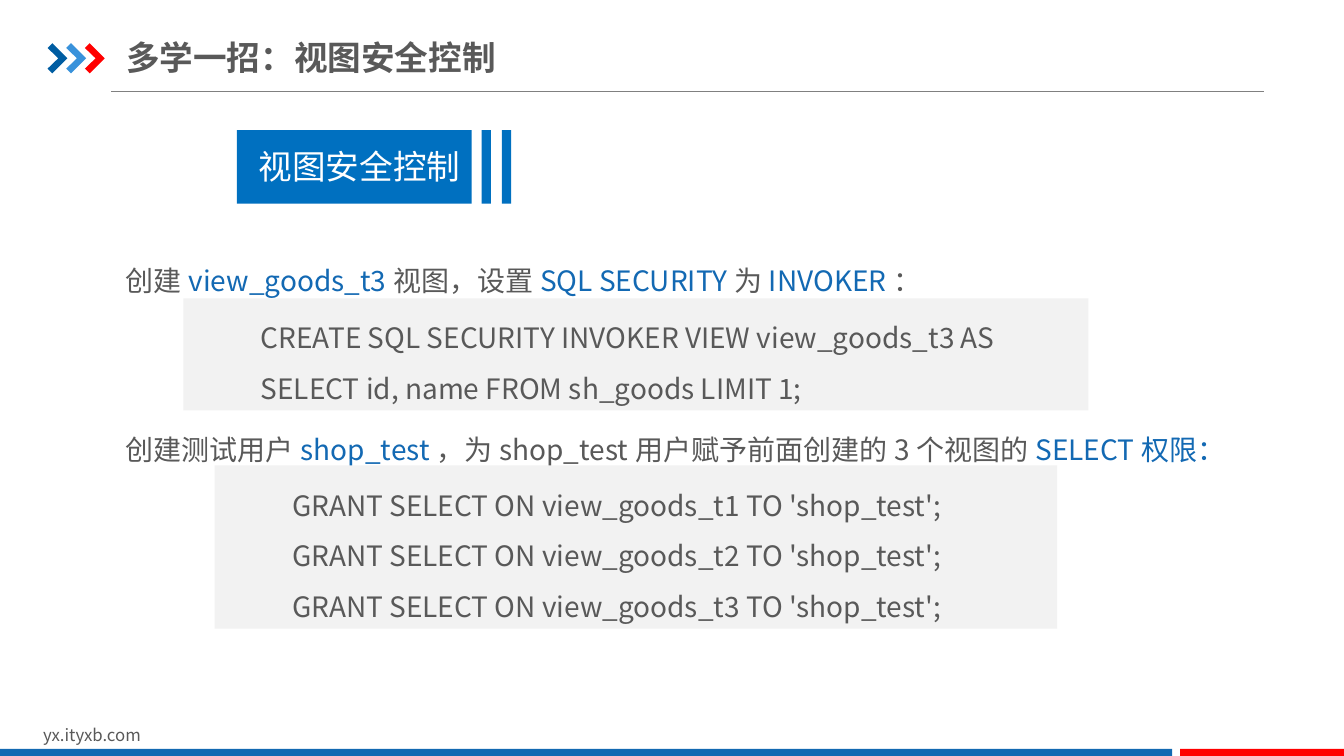
from dataclasses import dataclass

from lxml import etree
from pptx import Presentation
from pptx.dml.color import RGBColor
from pptx.enum import shapes, text
from pptx.oxml import ns
from pptx.util import Cm, Pt


@dataclass(frozen=True)
class Theme:
    face: str = "Noto Sans CJK SC"
    ink: str = "595959"
    key: str = "1369B3"
    foot: str = "1369B2"
    tab: str = "0070C0"
    code: str = "F2F2F2"
    rule: str = "808080"
    red: str = "FF0000"
    white: str = "FFFFFF"
    navy: str = "005DA2"
    sky: str = "3992DB"
    head: int = 24
    body: int = 20
    small: int = 12


T = Theme()

TITLE = "多学一招：视图安全控制"
TOPIC = "视图安全控制"
SITE = "yx.ityxb.com"
STEPS = [
    {
        "say": [("创建", T.ink), ("view_goods_t3", T.key), ("视图，设置", T.ink),
                ("SQL SECURITY", T.key), ("为", T.ink), ("INVOKER", T.key), ("：", T.ink)],
        "top": 6.1, "tall": 1.4,
        "code": ["CREATE SQL SECURITY INVOKER VIEW view_goods_t3 AS",
                 "SELECT id, name FROM sh_goods LIMIT 1;"],
        "box": (4.62, 7.52, 22.81, 2.82),
    },
    {
        "say": [("创建测试用户", T.ink), ("shop_test", T.key),
                ("，为shop_test用户赋予前面创建的3个视图的", T.ink), ("SELECT权限：", T.key)],
        "top": 10.34, "tall": 1.55,
        "code": [f"GRANT SELECT ON view_goods_t{n} TO 'shop_test';" for n in (1, 2, 3)],
        "box": (5.41, 11.73, 21.23, 4.11),
    },
]
CHEVRON = [(0, 0.12), (0.12, 0), (0.5, 0.38), (0.12, 0.76), (0, 0.64), (0.27, 0.38)]

deck = Presentation()
deck.slide_width, deck.slide_height = Cm(33.87), Cm(19.05)
slide = deck.slides.add_slide(deck.slide_layouts[6])
items = slide.shapes


def paint(shape, color):
    shape.shadow.inherit = False
    shape.fill.solid()
    shape.fill.fore_color.rgb = RGBColor.from_string(color)
    shape.line.fill.background()
    return shape


def block(box, color):
    return paint(items.add_shape(shapes.MSO_SHAPE.RECTANGLE, *map(Cm, box)), color)


def style(para, size, color, bold=False):
    font = para.font
    font.name, font.size, font.bold = T.face, Pt(size), bold
    font.color.rgb = RGBColor.from_string(color)
    latin = font._element.find(ns.qn("a:latin"))
    east = etree.Element(ns.qn("a:ea"), typeface=T.face)
    latin.addnext(east)


def label(box, words, size, color, bold=False):
    frame = items.add_textbox(*map(Cm, box)).text_frame
    frame.word_wrap = True
    para = frame.paragraphs[0]
    para.text = words
    style(para, size, color, bold)
    return frame


def say(step):
    frame = label((2.92, step["top"], 28.96, step["tall"]), "", T.body, T.ink)
    para = frame.paragraphs[0]
    para.line_spacing = 1.5
    for words, color in step["say"]:
        run = para.add_run()
        run.text = words
        run.font.color.rgb = RGBColor.from_string(color)


def listing(step):
    frame = block(step["box"], T.code).text_frame
    frame.word_wrap = True
    frame.vertical_anchor = text.MSO_ANCHOR.MIDDLE
    for i, line in enumerate(step["code"]):
        para = frame.add_paragraph() if i else frame.paragraphs[0]
        para.text = line
        para.level = 1
        para.alignment = text.PP_ALIGN.JUSTIFY
        para.line_spacing = 1.5
        props = para._p.get_or_add_pPr()
        props.set("marL", str(Cm(1.7)))
        props.set("indent", "0")
        style(para, T.body, T.ink)


rule = items.add_connector(shapes.MSO_CONNECTOR.STRAIGHT, Cm(2.8), Cm(2.31), Cm(31.86), Cm(2.31))
rule.line.color.rgb = RGBColor.from_string(T.rule)
rule.line.width = Pt(0.75)
etree.SubElement(rule._element.spPr, ns.qn("a:effectLst"))

for i, color in enumerate((T.navy, T.sky, T.red)):
    dots = [(Cm(1.2 + 0.47 * i + x), Cm(1.09 + y)) for x, y in CHEVRON]
    pen = items.build_freeform(*dots[0])
    pen.add_line_segments(dots[1:], close=True)
    paint(pen.convert_to_shape(), color)

label((0.84, 18.14, 8.08, 0.76), SITE, T.small, T.ink)
block((0, 18.87, 29.54, 0.22), T.foot)
block((29.74, 18.87, 4.13, 0.22), T.red)

title = label((3.18, 0.74, 15.44, 1.4), TITLE, T.head, T.ink, True)
title.margin_left = title.margin_right = 0
title.margin_top = title.margin_bottom = Cm(0.18)
title.vertical_anchor = text.MSO_ANCHOR.MIDDLE

for left, wide in ((5.97, 5.92), (12.14, 0.23), (12.65, 0.23)):
    block((left, 3.28, wide, 1.85), T.tab)
label((6.27, 3.56, 5.64, 1.27), TOPIC, T.head, T.white)

for step in STEPS:
    say(step)
    listing(step)

deck.save("out.pptx")
